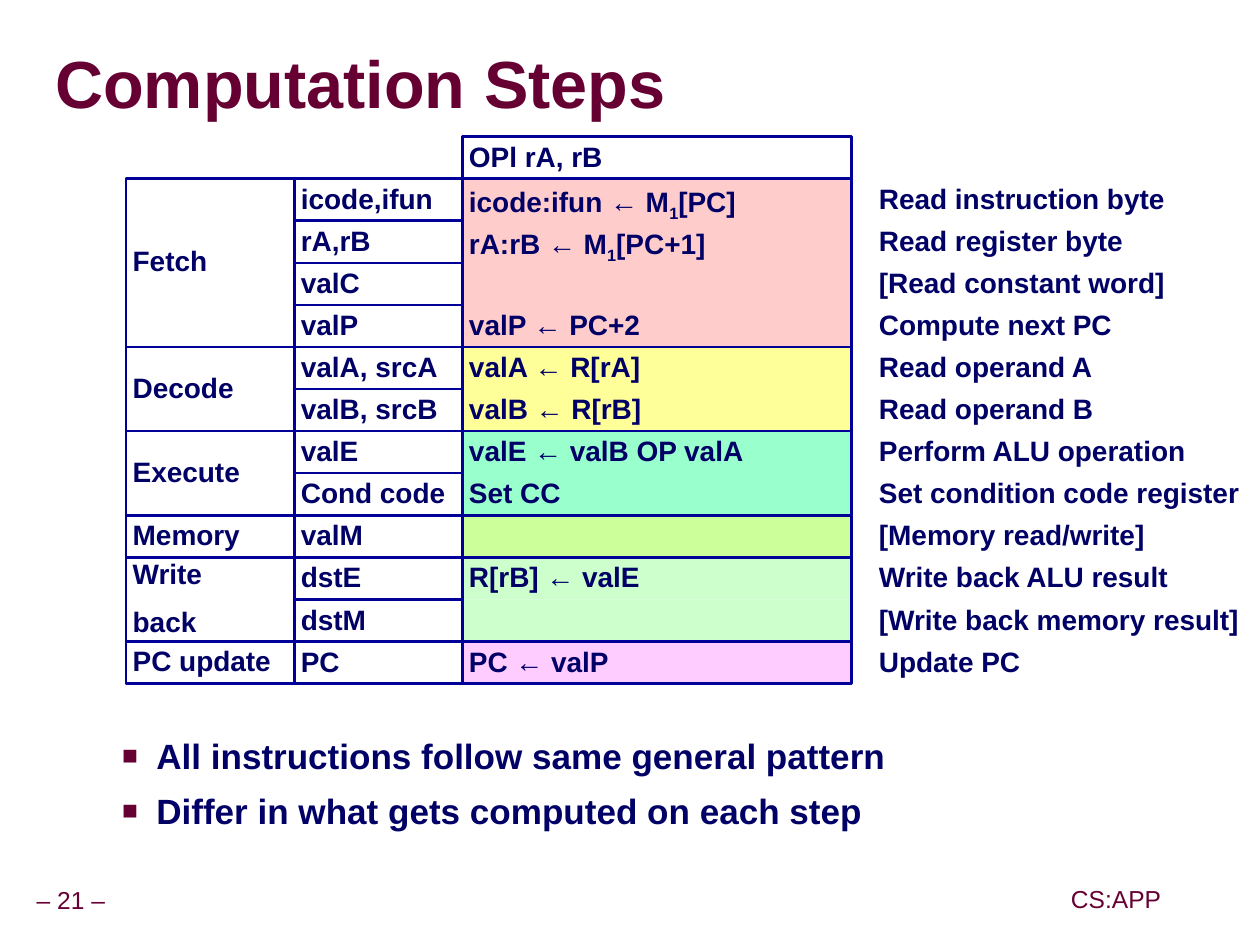
import pptx
import pptx.dml.color
import pptx.enum.shapes
import pptx.enum.text
import pptx.oxml
import pptx.oxml.ns
import pptx.util
from dataclasses import dataclass

ANCHOR = pptx.enum.text.MSO_ANCHOR
ALIGN = pptx.enum.text.PP_ALIGN


@dataclass(frozen=True)
class Theme:
    font: str = "Arial"
    maroon: str = "660033"
    navy: str = "000066"
    edge: str = "000099"
    shadow: str = "969696"
    title: int = 38
    body: int = 20
    cell: int = 16
    footer: int = 14


THEME = Theme()

STAGES = [
    ("Fetch", "FFCCCC", [
        ("icode,ifun", "icode:ifun ← M|1|[PC]", "Read instruction byte"),
        ("rA,rB", "rA:rB ← M|1|[PC+1]", "Read register byte"),
        ("valC", "", "[Read constant word]"),
        ("valP", "valP ← PC+2", "Compute next PC")]),
    ("Decode", "FFFF99", [
        ("valA, srcA", "valA ← R[rA]", "Read operand A"),
        ("valB, srcB", "valB ← R[rB]", "Read operand B")]),
    ("Execute", "99FFCC", [
        ("valE", "valE ← valB OP valA", "Perform ALU operation"),
        ("Cond code", "Set CC", "Set condition code register")]),
    ("Memory", "CCFF99", [("valM", "", "[Memory read/write]")]),
    ("Write\nback", "CCFFCC", [
        ("dstE", "R[rB] ← valE", "Write back ALU result"),
        ("dstM", "", "[Write back memory result]")]),
    ("PC update", "FFCCFF", [("PC", "PC ← valP", "Update PC")]),
]


def px(n):
    return pptx.util.Emu(n * 9525)


def rgb(color):
    return pptx.dml.color.RGBColor.from_string(color)


def xml(markup):
    head, tail = markup.split(" ", 1)
    return pptx.oxml.parse_xml(f"{head} {pptx.oxml.ns.nsdecls('a')} {tail}")


def write(tf, text, size=THEME.cell, color=THEME.navy, bold=True, align=ALIGN.LEFT,
          anchor=ANCHOR.TOP, spacing=0.9, gap=10, insets=(5, 5), wrap=True,
          bullet=None, shadow=False):
    """Fill a text frame, one paragraph per line, with |subscripts| between bars."""
    tf.auto_size = pptx.enum.text.MSO_AUTO_SIZE.NONE
    tf.word_wrap = wrap
    tf.vertical_anchor = anchor
    tf.margin_left = tf.margin_right = px(insets[0])
    tf.margin_top = tf.margin_bottom = px(insets[1])
    for i, line in enumerate(text.split("\n")):
        p = tf.add_paragraph() if i else tf.paragraphs[0]
        p.alignment = align
        p.line_spacing = spacing
        p.space_before = pptx.util.Pt(gap if i else 0)
        if bullet:
            p.level = 1
            pPr = p._p.get_or_add_pPr()
            pPr.set("marL", str(px(78)))
            pPr.set("indent", str(px(-26)))
            pPr.append(xml(f'<a:buClr ><a:srgbClr val="{THEME.maroon}"/></a:buClr>'))
            pPr.append(xml('<a:buSzPct val="75000"/>'))
            pPr.append(xml(f'<a:buFont typeface="{THEME.font}"/>'))
            pPr.append(xml(f'<a:buChar char="{bullet}"/>'))
        for j, part in enumerate(line.split("|")):
            r = p.add_run()
            r.text = part
            r.font.size = pptx.util.Pt(size)
            r.font.bold = bold
            r.font.color.rgb = rgb(color)
            rPr = r._r.get_or_add_rPr()
            if j % 2:
                rPr.set("baseline", "-25000")
            if shadow:
                rPr.append(xml('<a:effectLst ><a:outerShdw dist="38100" dir="2700000">'
                               f'<a:srgbClr val="{THEME.shadow}"/></a:outerShdw></a:effectLst>'))
            r.font.name = THEME.font


class Deck:
    """Builds slide elements in one theme, with lengths in px."""

    def __init__(self, width, height):
        self.prs = pptx.Presentation()
        self.prs.slide_width, self.prs.slide_height = px(width), px(height)
        self.s = self.prs.slides.add_slide(self.prs.slide_layouts[1])

    def placeholder(self, idx, box, text, **fmt):
        sp = self.s.placeholders[idx]
        sp.left, sp.top, sp.width, sp.height = map(px, box)
        write(sp.text_frame, text, **fmt)

    def text(self, box, text, **fmt):
        write(self.s.shapes.add_textbox(*map(px, box)).text_frame, text, **fmt)

    def rect(self, box, text="", fill=None, line=True, **fmt):
        sp = self.s.shapes.add_shape(pptx.enum.shapes.MSO_SHAPE.RECTANGLE, *map(px, box))
        sp.shadow.inherit = False
        if fill:
            sp.fill.solid()
            sp.fill.fore_color.rgb = rgb(fill)
        else:
            sp.fill.background()
        if line:
            sp.line.color.rgb = rgb(THEME.edge)
            sp.line.width = pptx.util.Pt(1.5)
        else:
            sp.line.fill.background()
        if text:
            write(sp.text_frame, text, **fmt)


def main():
    deck = Deck(959, 719)
    deck.placeholder(0, (42, 26, 914, 82), "Computation Steps", size=THEME.title,
                     color=THEME.maroon, anchor=ANCHOR.MIDDLE, spacing=0.87,
                     insets=(0, 0), shadow=True)
    deck.placeholder(1, (31, 554, 871, 123),
                     "All instructions follow same general pattern\n"
                     "Differ in what gets computed on each step",
                     size=THEME.body, spacing=1.0, gap=7, insets=(10, 5), bullet="■")
    for box, label in (((0, 671, 108, 30), "– 21 –"), ((810, 670, 79, 30), "CS:APP")):
        deck.text(box, label, size=THEME.footer, color=THEME.maroon, bold=False,
                  align=ALIGN.CENTER, anchor=ANCHOR.MIDDLE, wrap=False)

    row_h, name_w, step_w, note_w = 32, 128, 296, 295
    stage_x, note_x = 96, 664
    value_x = stage_x + name_w
    step_x = value_x + name_w
    y = 104
    deck.rect((step_x, y, step_w, row_h), "OPl rA, rB")
    y += row_h
    for stage, fill, rows in STAGES:
        stage_h = row_h * len(rows)
        single = len(rows) == 1
        for i, (value, step, note) in enumerate(rows):
            row_y = y + i * row_h
            deck.rect((step_x, row_y, step_w, row_h), step, fill=fill, line=single)
            deck.rect((value_x, row_y, name_w, row_h), value)
            deck.text((note_x, row_y, note_w, row_h), note)
        if not single:
            deck.rect((step_x, y, step_w, stage_h))
        deck.rect((stage_x, y, name_w, stage_h), stage, anchor=ANCHOR.MIDDLE)
        y += stage_h
    deck.prs.save("out.pptx")


if __name__ == "__main__":
    main()
